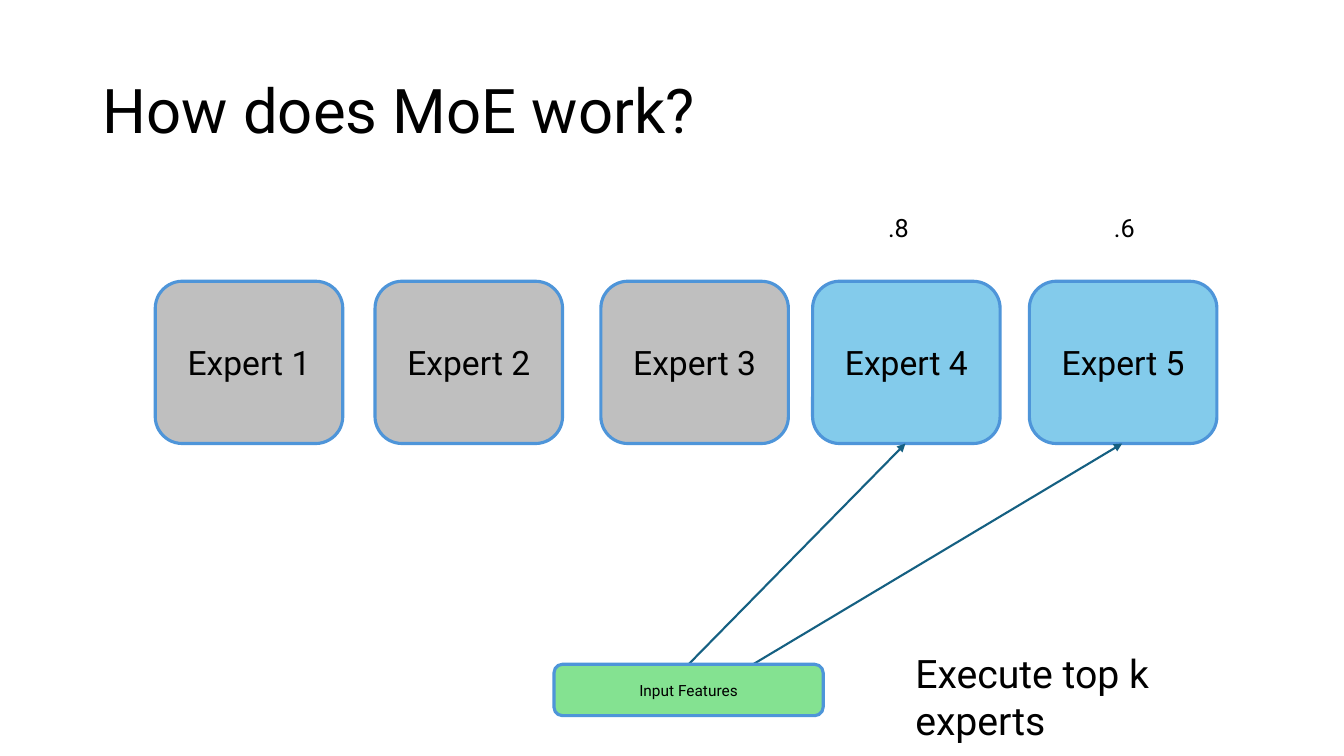
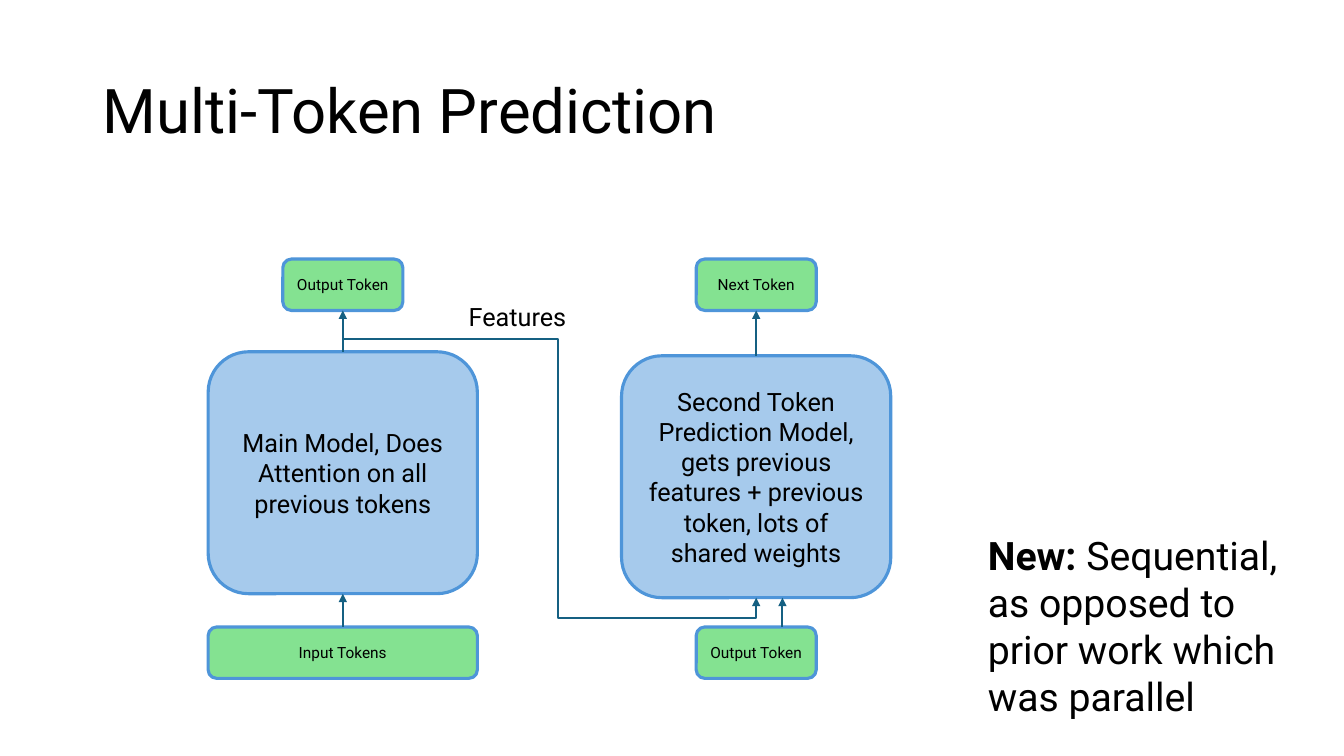
import pptx
import pptx.util
import pptx.dml.color
import pptx.enum.shapes
import pptx.enum.text
import pptx.oxml.ns
import lxml.etree

Inches = pptx.util.Inches
Pt = pptx.util.Pt
SHAPE = pptx.enum.shapes.MSO_SHAPE
LINE = pptx.enum.shapes.MSO_CONNECTOR
ALIGN = pptx.enum.text.PP_ALIGN
ANCHOR = pptx.enum.text.MSO_ANCHOR
FIT = pptx.enum.text.MSO_AUTO_SIZE
qn = pptx.oxml.ns.qn

FONT = "Roboto"
INK, EDGE, ARROW = "000000", "4E95D9", "156082"
GREY, SKY, BLUE, GREEN = "BFBFBF", "83CBEB", "A6CAEC", "84E291"
TOKEN_H = 0.51


def color(code):
    return pptx.dml.color.RGBColor.from_string(code)


def write(frame, text, size=18, lead="", align=ALIGN.LEFT,
          anchor=ANCHOR.TOP, space=None):
    """Fill a text frame; lead is a bold opening run."""
    frame.word_wrap = True
    frame.vertical_anchor = anchor
    para = frame.paragraphs[0]
    para.alignment = align
    para.line_spacing = space
    for words, bold in ((lead, True), (text, False)):
        if words:
            run = para.add_run()
            run.text = words
            run.font.name = FONT
            run.font.size = Pt(size)
            run.font.bold = bold
            run.font.color.rgb = color(INK)


def label(slide, left, top, width, height, text, fit=FIT.SHAPE_TO_FIT_TEXT,
          **style):
    frame = slide.shapes.add_textbox(
        Inches(left), Inches(top), Inches(width), Inches(height)).text_frame
    write(frame, text, **style)
    frame.auto_size = fit


def box(slide, left, top, width, height, text, fill, size):
    shape = slide.shapes.add_shape(
        SHAPE.ROUNDED_RECTANGLE,
        Inches(left), Inches(top), Inches(width), Inches(height))
    shape.shadow.inherit = False
    shape.fill.solid()
    shape.fill.fore_color.rgb = color(fill)
    shape.line.color.rgb = color(EDGE)
    shape.line.width = Pt(2.25)
    write(shape.text_frame, text, size=size, align=ALIGN.CENTER,
          anchor=ANCHOR.MIDDLE)
    return shape


def token(slide, mid, top, width, text):
    """Draw a green box centred on mid."""
    box(slide, mid - width / 2, top, width, TOKEN_H, text, GREEN, 11)


def arrow(slide, x1, y1, x2, y2, kind=LINE.STRAIGHT):
    line = slide.shapes.add_connector(
        kind, Inches(x1), Inches(y1), Inches(x2), Inches(y2))
    line.line.color.rgb = color(ARROW)
    line.line.width = Pt(1.5)
    props = line.line._get_or_add_ln()
    lxml.etree.SubElement(props, qn("a:tailEnd"), type="triangle")
    lxml.etree.SubElement(line._element.spPr, qn("a:effectLst"))
    return line


def bend(line, *ratios):
    """Give an elbow one more corner, with its turns at the given ratios."""
    shape = line._element.spPr.find(qn("a:prstGeom"))
    shape.set("prst", "bentConnector4")
    guides = shape.find(qn("a:avLst"))
    if guides is None:
        guides = lxml.etree.SubElement(shape, qn("a:avLst"))
    for index, ratio in enumerate(ratios, 1):
        lxml.etree.SubElement(guides, qn("a:gd"), name=f"adj{index}",
                              fmla=f"val {round(ratio * 100000)}")


def start(deck, title):
    """Add a blank slide with the shared title."""
    slide = deck.slides.add_slide(deck.slide_layouts[6])
    label(slide, 0.92, 0.4, 11.5, 1.45, title, fit=FIT.NONE, size=44,
          anchor=ANCHOR.MIDDLE, space=0.9)
    return slide


def experts(deck):
    slide = start(deck, "How does MoE work?")
    top, width, height = 2.79, 1.86, 1.61
    for num, left in enumerate((1.54, 3.72, 5.96, 8.06, 10.21), 1):
        box(slide, left, top, width, height, f"Expert {num}",
            SKY if num > 3 else GREY, 24)
    label(slide, 8.98, 6.39, 3.86, 0.57, "Execute top k experts", size=28)
    for left, score in ((8.71, ".8"), (10.95, ".6")):
        label(slide, left, 2.06, 0.55, 0.4, score)
    for x1, x2 in ((6.83, 8.98), (7.47, 11.13)):
        arrow(slide, x1, 6.59, x2, top + height)
    token(slide, 6.83, 6.59, 2.67, "Input Features")


def tokens(deck):
    slide = start(deck, "Multi-Token Prediction")
    wide, slim, tall = 2.67, 1.19, 2.4
    main_x, next_x = 3.4, 7.5
    main_y, next_y = 3.49, 3.53
    high, low = 2.57, 6.22

    token(slide, main_x, low, wide, "Input Tokens")
    token(slide, main_x, high, slim, "Output Token")
    token(slide, next_x, low, slim, "Output Token")
    token(slide, next_x, high, slim, "Next Token")
    box(slide, main_x - wide / 2, main_y, wide, tall,
        "Main Model, Does Attention on all previous tokens", BLUE, 18)
    second = box(slide, next_x - wide / 2, next_y, wide, tall,
                 "Second Token Prediction Model, gets previous features + "
                 "previous token, lots of shared weights", BLUE, 18)

    feed = arrow(slide, main_x, 3.36, next_x, next_y + tall, LINE.ELBOW)
    feed.end_connect(second, 2)
    bend(feed, 0.52, 1.08)
    for x, y1, y2 in ((main_x, main_y, high + TOKEN_H),
                      (next_x, next_y, high + TOKEN_H),
                      (main_x, low, main_y + tall),
                      (7.76, low, next_y + tall)):
        arrow(slide, x, y1, x, y2)
    label(slide, 4.55, 2.94, 1.19, 0.4, "Features")
    label(slide, 9.7, 5.22, 3.26, 1.99,
          "Sequential, as opposed to prior work which was parallel",
          lead="New: ", size=28)


def main():
    deck = pptx.Presentation()
    deck.slide_width, deck.slide_height = Inches(13.33), Inches(7.5)
    experts(deck)
    tokens(deck)
    deck.save("out.pptx")


if __name__ == "__main__":
    main()
